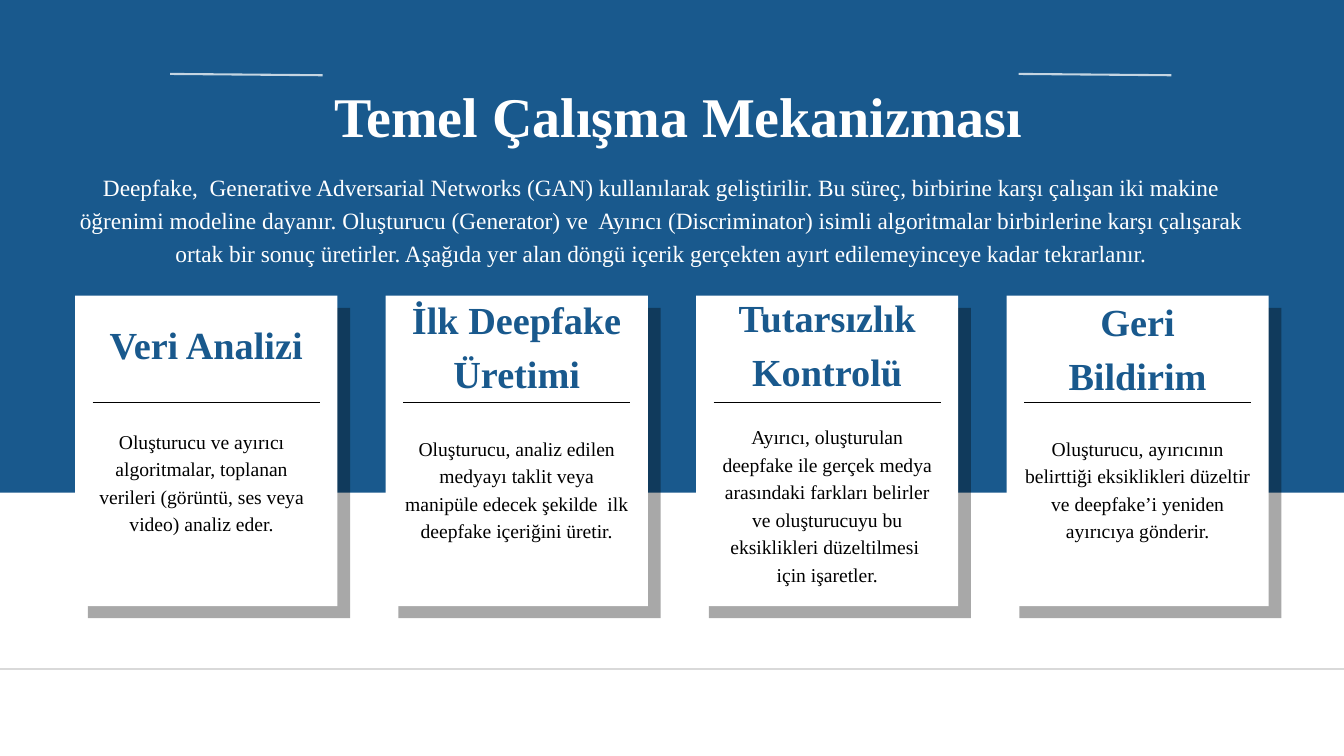
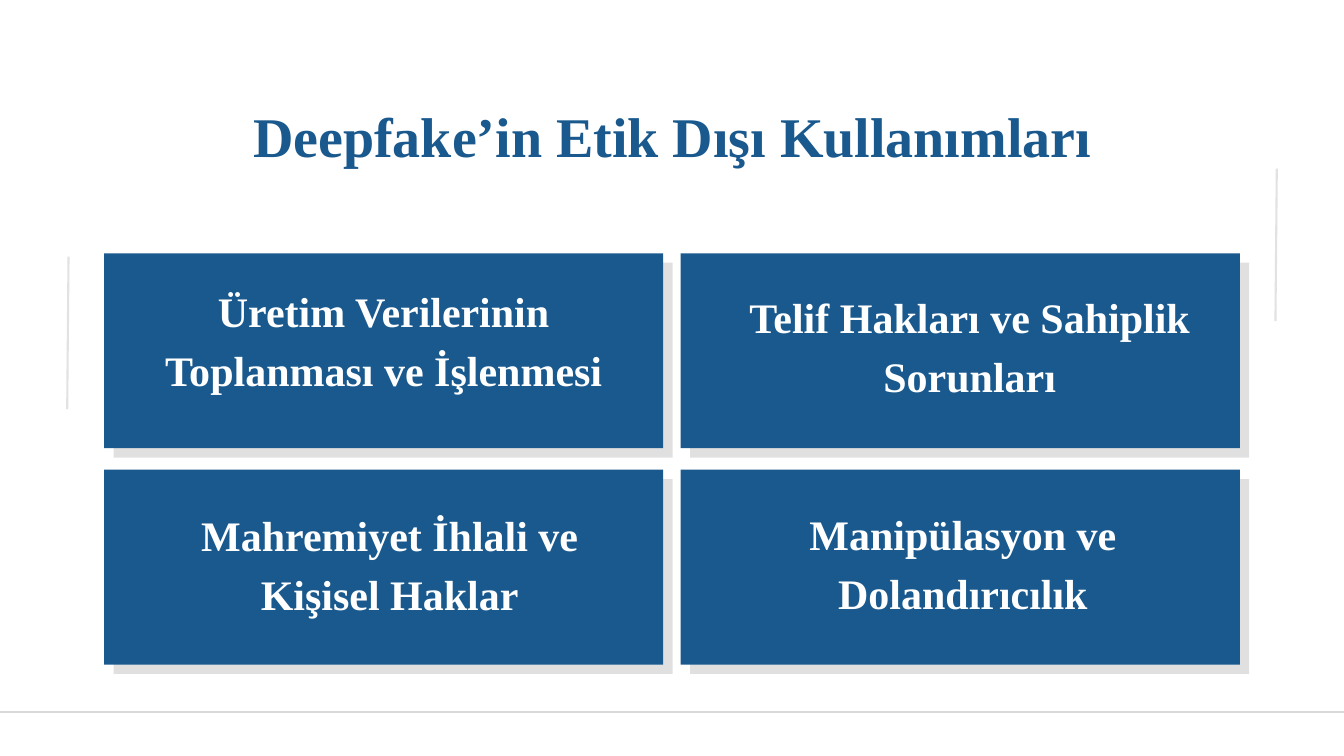
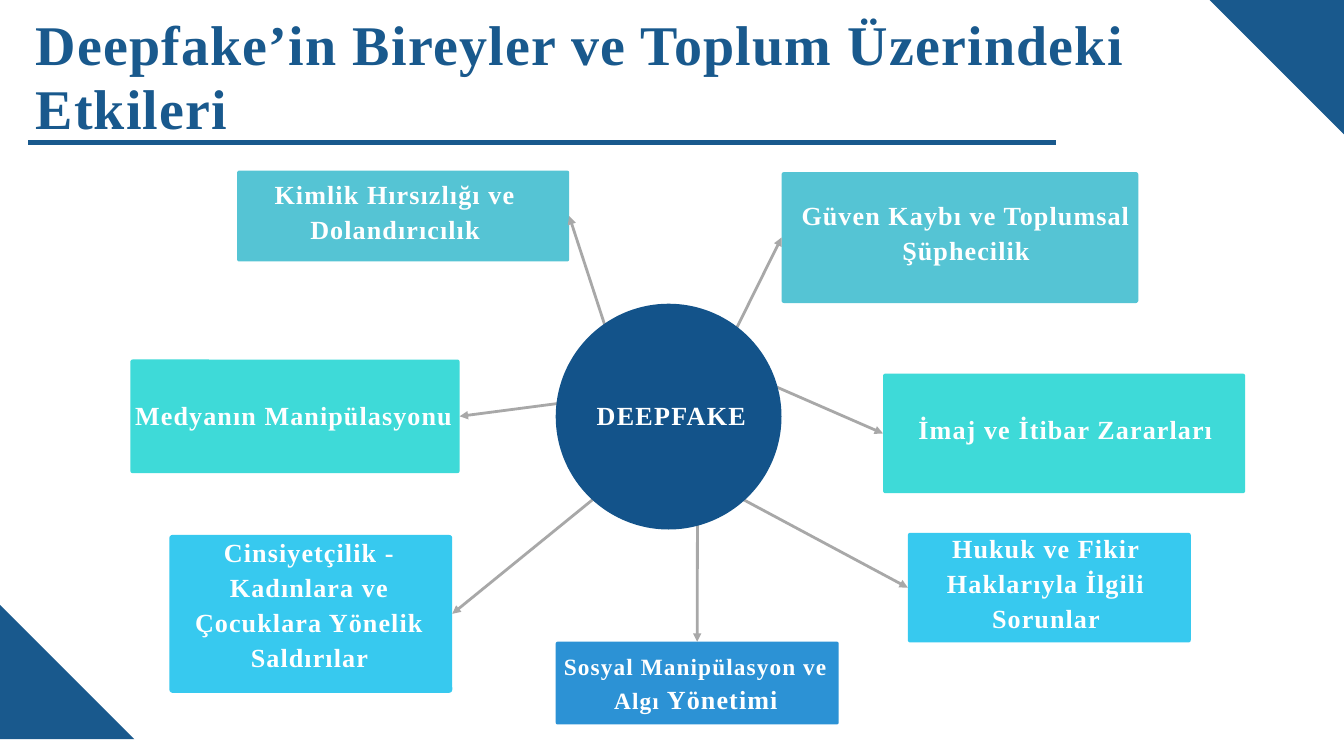
from dataclasses import dataclass

from lxml.etree import SubElement
from pptx import Presentation
from pptx.dml.color import RGBColor
from pptx.enum.shapes import MSO_CONNECTOR, MSO_SHAPE
from pptx.enum.text import MSO_ANCHOR, PP_ALIGN
from pptx.oxml.ns import qn
from pptx.shapes.autoshape import Shape
from pptx.shapes.connector import Connector
from pptx.slide import Slide
from pptx.util import Inches, Pt

# The slide is a grid of one-inch cells.
COLS, ROWS = 20, 11.25
FONT = "Times New Roman"
BLUE, WHITE, BLACK = "19598D", "FFFFFF", "000000"
PALE, GREY, NAVY = "D9D9D9", "A8A8A8", "13538A"
TEAL, MINT, SKY, AZURE = "55C4D4", "3EDAD8", "37C9EF", "2C92D5"
TOP, LEFT, RIGHT = 0, 1, 3


@dataclass(frozen=True)
class Box:
    col: float
    row: float
    wide: float
    high: float

    def move(self, right: float, down: float) -> "Box":
        return Box(self.col + right, self.row + down, self.wide, self.high)

    def emus(self) -> tuple[int, ...]:
        return tuple(Inches(n) for n in (self.col, self.row, self.wide, self.high))


@dataclass(frozen=True)
class Style:
    size: float
    lead: float
    color: str
    bold: bool = True
    gap: float = 0
    align: PP_ALIGN = PP_ALIGN.CENTER
    anchor: MSO_ANCHOR = MSO_ANCHOR.TOP


@dataclass(frozen=True)
class Card:
    head: str
    head_row: float
    body: str
    body_row: float
    shift: float = 0


@dataclass(frozen=True)
class Tile:
    text: str
    right: float
    down: float


@dataclass(frozen=True)
class Node:
    """A box round the hub, its label's shift, and the arrow that meets it."""
    text: str
    fill: str
    box: Box
    shift: tuple[float, float]
    start: tuple[float, float]
    side: int
    size: float = 28
    last: str = ""


TITLE = Style(60, 60, BLUE)
COVER = Style(60, 60, WHITE)
LONG = Style(60, 68.4, BLUE, gap=1.3, align=PP_ALIGN.LEFT)
INTRO = Style(25, 35, WHITE, bold=False)
HEAD = Style(41, 57.4, BLUE)
BODY = Style(21, 29.4, BLACK, bold=False)
LABEL = Style(45, 63, WHITE)
CORE = Style(28, 42, WHITE, gap=1.4, anchor=MSO_ANCHOR.MIDDLE)

CARDS = (
    Card("Veri Analizi", 4.66,
         "Oluşturucu ve ayırıcı algoritmalar, toplanan verileri (görüntü, ses "
         "veya video) analiz eder.", 6.34, -0.07),
    Card("İlk Deepfake Üretimi", 4.3,
         "Oluşturucu, analiz edilen medyayı taklit veya manipüle edecek "
         "şekilde  ilk deepfake içeriğini üretir.", 6.44),
    Card("Tutarsızlık Kontrolü", 4.27,
         "Ayırıcı, oluşturulan deepfake ile gerçek medya arasındaki farkları "
         "belirler ve oluşturucuyu bu eksiklikleri düzeltilmesi  için "
         "işaretler.", 6.27),
    Card("Geri Bildirim", 4.33,
         "Oluşturucu, ayırıcının belirttiği eksiklikleri düzeltir ve "
         "deepfake’i yeniden ayırıcıya gönderir.", 6.44),
)

TILES = (
    Tile("Üretim Verilerinin Toplanması ve İşlenmesi", 0, 0.36),
    Tile("Telif Hakları ve Sahiplik Sorunları", 0.14, 0.45),
    Tile("Mahremiyet İhlali ve Kişisel Haklar", 0.09, 0.47),
    Tile("Manipülasyon ve Dolandırıcılık", 0.04, 0.45),
)

HUB = Box(8.27, 4.52, 3.36, 3.36)
NODES = (
    Node("Güven Kaybı ve Toplumsal Şüphecilik", TEAL,
         Box(11.63, 2.56, 5.31, 1.95), (0.09, -0.1), (10.71, 5.39), LEFT),
    Node("İmaj ve İtibar Zararları", MINT,
         Box(13.14, 5.56, 5.39, 1.78), (0.02, -0.09), (10.71, 5.39), LEFT),
    Node("Hukuk ve Fikir Haklarıyla İlgili Sorunlar", SKY,
         Box(13.51, 7.93, 4.21, 1.63), (-0.05, -0.09), (10.38, 7.07), LEFT),
    Node("Sosyal Manipülasyon ve Algı ", AZURE,
         Box(8.27, 9.55, 4.21, 1.23), (-0.02, -0.05), (10.38, 7.15), TOP,
         25, "Yönetimi"),
    Node("Kimlik Hırsızlığı ve Dolandırıcılık", TEAL,
         Box(3.53, 2.54, 4.94, 1.35), (-0.12, -0.1), (9.18, 5.39), RIGHT),
    Node("Medyanın Manipülasyonu", MINT,
         Box(1.94, 5.35, 4.9, 1.69), (-0.02, -0.05), (9.18, 5.89), RIGHT),
    Node("Cinsiyetçilik - Kadınlara ve Çocuklara Yönelik Saldırılar", SKY,
         Box(2.52, 7.96, 4.21, 2.35), (-0.02, -0.16), (9.17, 7.15), RIGHT),
)


def rgb(code: str) -> RGBColor:
    return RGBColor.from_string(code)


def fade(item: Shape | Connector, alpha: int) -> None:
    """Make the colours of a shape or line partly transparent."""
    if alpha < 100:
        for color in item._element.spPr.iter(qn("a:srgbClr")):
            SubElement(color, qn("a:alpha")).set("val", str(alpha * 1000))


def paint(shape: Shape, color: str, alpha: int = 100) -> Shape:
    shape.shadow.inherit = False
    shape.fill.solid()
    shape.fill.fore_color.rgb = rgb(color)
    shape.line.fill.background()
    fade(shape, alpha)
    return shape


def block(slide: Slide, box: Box, color: str, alpha: int = 100,
          kind: MSO_SHAPE = MSO_SHAPE.RECTANGLE) -> Shape:
    return paint(slide.shapes.add_shape(kind, *box.emus()), color, alpha)


def corner(slide: Slide, *points: tuple[float, float]) -> None:
    pen = slide.shapes.build_freeform(*points[0], scale=Inches(1))
    pen.add_line_segments(points[1:])
    paint(pen.convert_to_shape(), BLUE)


def rule(slide: Slide, start: tuple[float, float], end: tuple[float, float],
         color: str, width: float, alpha: int = 100) -> Connector:
    line = slide.shapes.add_connector(
        MSO_CONNECTOR.STRAIGHT, *(Inches(n) for n in start + end))
    line.line.color.rgb = rgb(color)
    line.line.width = Pt(width)
    SubElement(line._element.spPr, qn("a:effectLst"))
    fade(line, alpha)
    return line


def foot(slide: Slide, row: float) -> None:
    rule(slide, (0, row), (COLS, row), PALE, 2.25)


def write(slide: Slide, box: Box, text: str, style: Style, last: str = "") -> None:
    """Write one paragraph; last is a closing run in the hub's size."""
    frame = slide.shapes.add_textbox(*box.emus()).text_frame
    frame.word_wrap = True
    frame.vertical_anchor = style.anchor
    frame.margin_left = frame.margin_right = 0
    frame.margin_top = frame.margin_bottom = 0
    para = frame.paragraphs[0]
    para.alignment = style.align
    para.line_spacing = Pt(style.lead)
    font = para.font
    font.name, font.size, font.bold = FONT, Pt(style.size), style.bold
    font.color.rgb = rgb(style.color)
    if style.gap:
        para._p.pPr.find(qn("a:defRPr")).set("spc", str(round(style.gap * 100)))
    para.add_run().text = text
    if last:
        run = para.add_run()
        run.text = last
        run.font.size = Pt(CORE.size)


def steps(slide: Slide) -> None:
    block(slide, Box(0, 0, COLS, 7.33), BLUE)
    write(slide, Box(2.15, 1.38, 15.89, 1.02), "Temel Çalışma Mekanizması", COVER)
    write(slide, Box(0.91, 2.51, 17.85, 1.47),
          "Deepfake,  Generative Adversarial Networks (GAN) kullanılarak "
          "geliştirilir. Bu süreç, birbirine karşı çalışan iki makine öğrenimi "
          "modeline dayanır. Oluşturucu (Generator) ve  Ayırıcı (Discriminator) "
          "isimli algoritmalar birbirlerine karşı çalışarak ortak bir sonuç "
          "üretirler. Aşağıda yer alan döngü içerik gerçekten ayırt "
          "edilemeyinceye kadar tekrarlanır.", INTRO)
    for i, card in enumerate(CARDS):
        box = Box(1.12 + 4.62 * i, 4.4, 3.9, 4.62)
        block(slide, box.move(0.19, 0.18), BLACK, 34)
        block(slide, box, WHITE)
        left = box.col + 0.26
        write(slide, Box(box.col + 0.35, card.head_row, 3.2, 1.65), card.head, HEAD)
        write(slide, Box(left + card.shift, card.body_row, 3.38, 2.07),
              card.body, BODY)
        rule(slide, (left, 5.99), (left + 3.38, 5.99), BLACK, 1.5)
    rule(slide, (15.16, 1.1), (17.43, 1.12), WHITE, 2.25, 75)
    rule(slide, (4.8, 1.12), (2.53, 1.1), WHITE, 2.25, 75)
    foot(slide, 9.95)


def misuse(slide: Slide) -> None:
    foot(slide, 10.59)
    rule(slide, (18.98, 4.78), (19, 2.51), PALE, 2.25, 75)
    rule(slide, (1, 6.09), (1.02, 3.82), PALE, 2.25, 75)
    write(slide, Box(2.27, 1.68, 15.47, 1.02),
          "Deepfake’in Etik Dışı Kullanımları", TITLE)
    for i, tile in enumerate(TILES):
        row, col = divmod(i, 2)
        box = Box(1.55 + 8.58 * col, 3.77 + 3.22 * row, 8.32, 2.9)
        block(slide, box.move(0.14, 0.14), BLACK, 12)
        block(slide, box, BLUE)
        write(slide, Box(box.col + 0.76 + tile.right, box.row + tile.down, 6.8, 1.81),
              tile.text, LABEL)


def effects(slide: Slide) -> None:
    for node in NODES:
        shape = block(slide, node.box, node.fill, kind=MSO_SHAPE.ROUNDED_RECTANGLE)
        shape.adjustments[0] = 0.02
        style = Style(node.size, 37.5, WHITE, gap=1.2, anchor=MSO_ANCHOR.MIDDLE)
        write(slide, node.box.move(*node.shift), node.text, style, node.last)
        arrow = rule(slide, node.start, (node.box.col, node.box.row), GREY, 3)
        arrow.end_connect(shape, node.side)
        SubElement(arrow.get_or_add_ln(), qn("a:tailEnd")).set("type", "triangle")
    block(slide, HUB, NAVY, kind=MSO_SHAPE.OVAL)
    write(slide, HUB.move(0.04, -0.08), "DEEPFAKE", CORE)
    write(slide, Box(0.53, 0.19, 17.19, 1.9),
          "Deepfake’in Bireyler ve Toplum Üzerindeki Etkileri", LONG)
    rule(slide, (0.42, 2.12), (15.72, 2.12), BLUE, 4.5)
    corner(slide, (17.68, 0), (COLS, 0), (COLS, 2.34))
    corner(slide, (0, 9.19), (2.1, ROWS), (0, ROWS))


def main() -> None:
    deck = Presentation()
    deck.slide_width, deck.slide_height = Inches(COLS), Inches(ROWS)
    for draw in (steps, misuse, effects):
        draw(deck.slides.add_slide(deck.slide_layouts[6]))
    deck.save("out.pptx")


if __name__ == "__main__":
    main()
